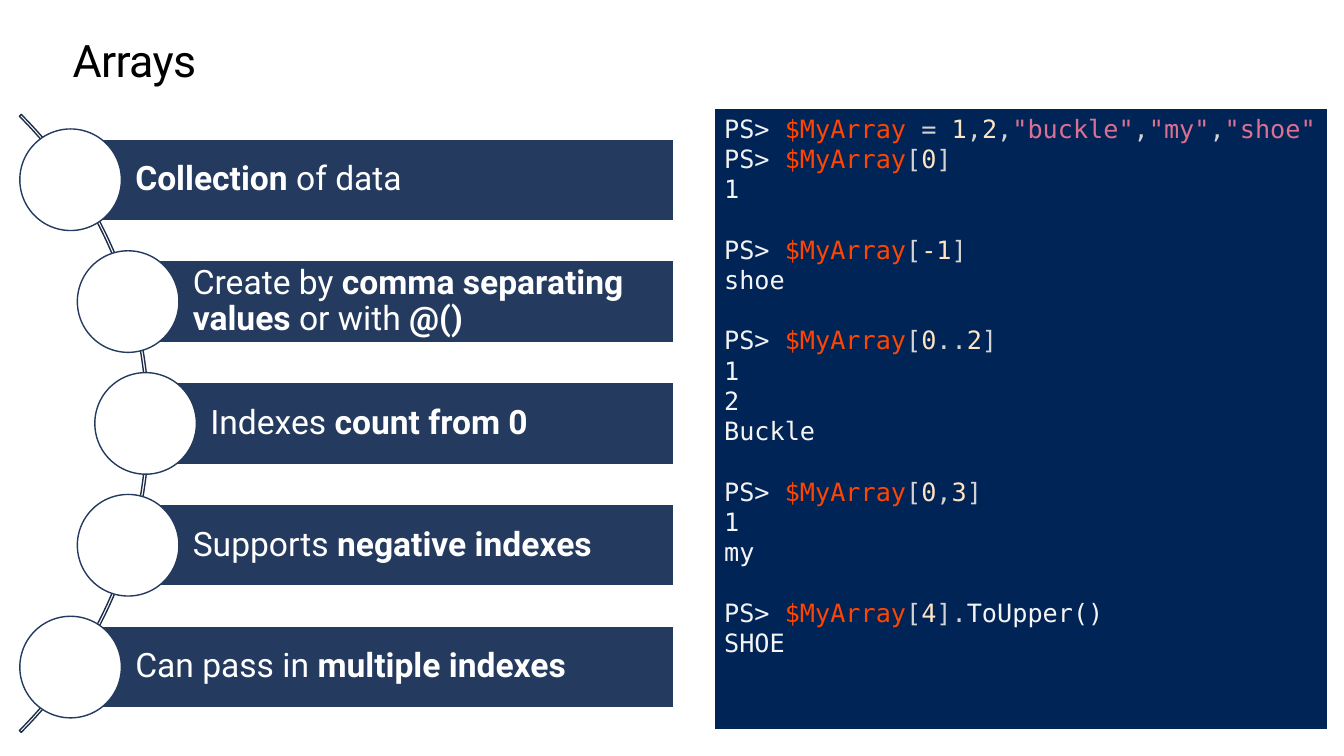
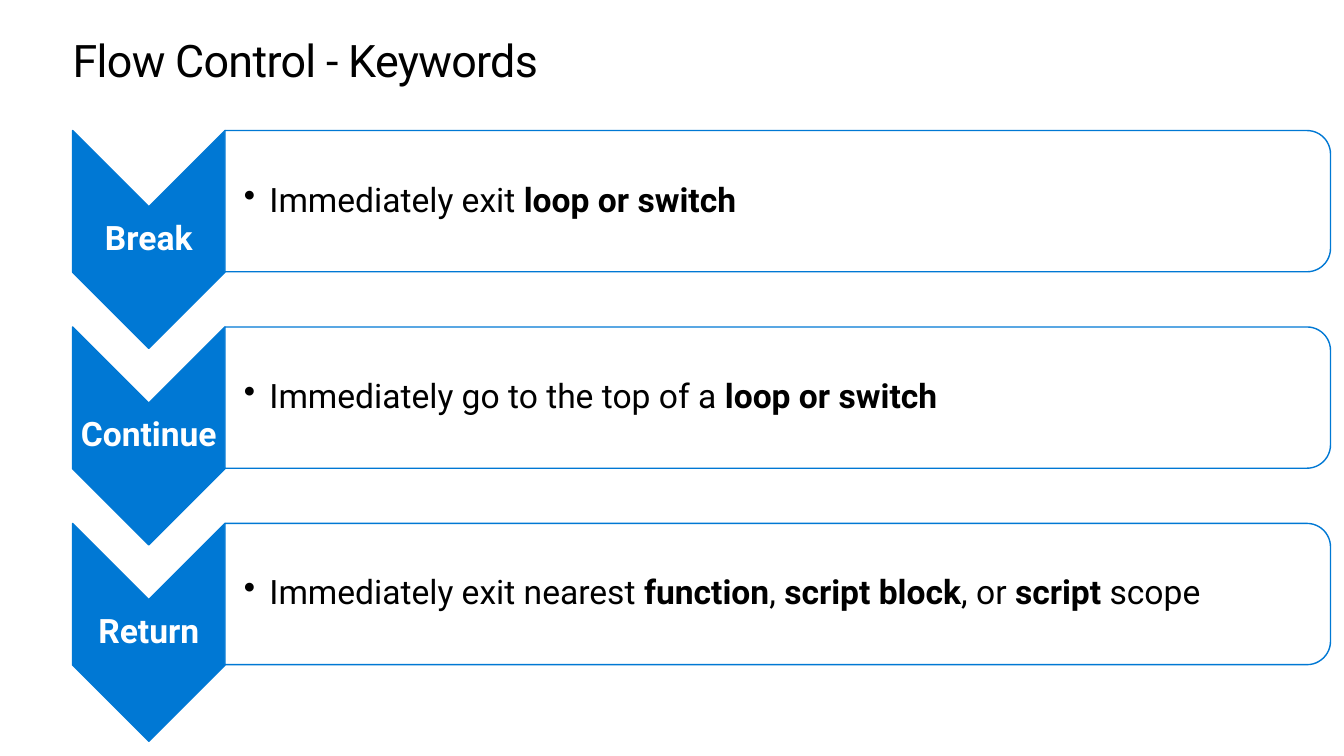
"""Builds two slides on arrays and flow control keywords."""
from dataclasses import dataclass
from math import sqrt

from lxml import etree
from pptx import Presentation
from pptx.dml.color import RGBColor
from pptx.enum.shapes import MSO_SHAPE
from pptx.enum.text import MSO_ANCHOR, MSO_AUTO_SIZE, PP_ALIGN
from pptx.oxml.ns import qn
from pptx.util import Cm, Pt

RECTANGLE, OVAL = MSO_SHAPE.RECTANGLE, MSO_SHAPE.OVAL
CHEVRON, ARC = MSO_SHAPE.CHEVRON, MSO_SHAPE.BLOCK_ARC
PANEL = MSO_SHAPE.ROUND_2_SAME_RECTANGLE
LEFT, CENTER = PP_ALIGN.LEFT, PP_ALIGN.CENTER
TOP, MIDDLE = MSO_ANCHOR.TOP, MSO_ANCHOR.MIDDLE
NO_AUTOFIT = MSO_AUTO_SIZE.NONE
TITLE_ONLY = 5


@dataclass(frozen=True)
class Theme:
    """Colours, fonts and type sizes of the deck."""
    black: str = "000000"
    white: str = "FFFFFF"
    navy: str = "243A5E"
    arc: str = "1D2E4B"
    blue: str = "0078D4"
    console: str = "012456"
    prompt: str = "F2F2F2"
    variable: str = "FF4500"
    symbol: str = "D3D3D3"
    number: str = "FFE4C4"
    string: str = "DB7093"
    output: str = "F5F5F5"
    font: str = "Roboto"
    code_font: str = "DejaVu Sans Mono"
    title_size: float = 32
    title_line: float = 36.2
    body_size: float = 24
    code_size: float = 18
    code_line: float = 21.6
    line_width: float = 1


THEME = Theme()

ARRAY_POINTS = [
    "*Collection* of data",
    "Create by *comma separating values* or with *@()*",
    "Indexes *count from 0*",
    "Supports *negative indexes*",
    "Can pass in *multiple indexes*",
]

CONSOLE_BLOCKS = [
    ['PS> |$MyArray |= |1|,|2|,|"buckle"|,|"my"|,|"shoe"', "PS> |$MyArray|[|0|]", "1"],
    ["PS> |$MyArray|[|-1|]", "shoe"],
    ["PS> |$MyArray|[|0|..|2|]", "1", "2", "Buckle"],
    ["PS> |$MyArray|[|0|,|3|]", "1", "my"],
    ["PS> |$MyArray|[|4|].|ToUpper()", "SHOE"],
]

KEYWORDS = [
    ("Break", "Immediately exit *loop or switch*"),
    ("Continue", "Immediately go to the top of a *loop or switch*"),
    ("Return", "Immediately exit nearest *function*, *script block*, or *script* scope"),
]


def add_span(para, text, *, colour, size=THEME.body_size, font=THEME.font, bold=False, spacing=None):
    """Append formatted text to a paragraph."""
    span = para.add_run()
    span.text = text
    span.font.name, span.font.size, span.font.bold = font, Pt(size), bold
    span.font.color.rgb = RGBColor.from_string(colour)
    if spacing is not None:
        span.font._element.set("spc", str(spacing))


def set_frame(shape, *, anchor=MIDDLE, insets=(0, 0, 0, 0)):
    """Set wrapping, anchor and insets in cm, and return the text frame."""
    frame = shape.text_frame
    frame.word_wrap = True
    frame.auto_size = NO_AUTOFIT
    frame.vertical_anchor = anchor
    (frame.margin_left, frame.margin_top,
     frame.margin_right, frame.margin_bottom) = map(Cm, insets)
    return frame


def write_marked(shape, text, *, colour, insets, align=LEFT, bullet=False):
    """Write one paragraph in which text between asterisks is bold."""
    para = set_frame(shape, insets=insets).paragraphs[0]
    para.alignment = align
    para.line_spacing = 0.9
    if bullet:
        properties = para._p.get_or_add_pPr()
        indent = Cm(0.64)
        properties.set("marL", str(indent))
        properties.set("indent", str(-indent))
        etree.SubElement(properties, qn("a:buChar"), char="•")
    for index, part in enumerate(text.split("*")):
        if part:
            add_span(para, part, colour=colour, bold=index % 2 == 1)


def add_figure(page, kind, left, top, width, height, *, fill=None, line=THEME.white):
    """Add a preset shape with lengths in cm."""
    shape = page.shapes.add_shape(kind, Cm(left), Cm(top), Cm(width), Cm(height))
    shape.shadow.inherit = False
    if fill:
        shape.fill.solid()
        shape.fill.fore_color.rgb = RGBColor.from_string(fill)
    else:
        shape.fill.background()
    shape.line.color.rgb = RGBColor.from_string(line)
    shape.line.width = Pt(THEME.line_width)
    return shape


def add_turned(page, kind, left, top, width, height, **style):
    """Add a shape turned by 90 degrees that covers the given area."""
    shift = (width - height) / 2
    shape = add_figure(page, kind, left + shift, top - shift, height, width, **style)
    shape.rotation = 90
    return shape


def add_label(page, text, left, top, width, height, **style):
    """Add a text box with marked text."""
    box = page.shapes.add_textbox(Cm(left), Cm(top), Cm(width), Cm(height))
    write_marked(box, text, **style)


def add_page(deck, title):
    """Add a title-only slide with its title in the shared style."""
    page = deck.slides.add_slide(deck.slide_layouts[TITLE_ONLY])
    box = page.shapes.title
    box.left, box.top, box.width, box.height = Cm(1.83), Cm(0.89), Cm(30.2), Cm(1.27)
    para = set_frame(box, anchor=TOP).paragraphs[0]
    para.alignment = LEFT
    para.line_spacing = Pt(THEME.title_line)
    add_span(para, title, colour=THEME.black, size=THEME.title_size, spacing=-50)
    return page


def token_colour(token):
    """Return the syntax colour of a token on a prompt line."""
    if token.startswith("PS>"):
        return THEME.prompt
    if token.startswith("$"):
        return THEME.variable
    if token.startswith('"'):
        return THEME.string
    if token.lstrip("-").isdigit():
        return THEME.number
    return THEME.output if token[0].isalpha() else THEME.symbol


def add_console(page, blocks):
    """Add the console panel with a gap between blocks of code."""
    panel = add_figure(page, RECTANGLE, 18, 2.72, 15.47, 15.67, fill=THEME.console)
    frame = set_frame(panel, anchor=TOP, insets=(0.25, 0.13, 0, 0.13))
    para = None
    for block in blocks:
        for index, line in enumerate(block):
            starts_later_block = para is not None and index == 0
            para = frame.add_paragraph() if para is not None else frame.paragraphs[0]
            para.alignment = LEFT
            para.line_spacing = Pt(THEME.code_line)
            para.space_before = Pt(THEME.code_line if starts_later_block else 0)
            tokens = line.split("|")
            for token in tokens:
                colour = token_colour(token) if len(tokens) > 1 else THEME.output
                add_span(para, token, colour=colour, size=THEME.code_size, font=THEME.code_font)


def add_curved_list(page, points):
    """Add bars whose circles sit on an arc."""
    center_x, center_y, arc_size, radius = -7.25, 10.67, 22.02, 10.92
    pitch, bar_height, bar_right, circle = 3.07, 2.06, 16.99, 2.56
    arc = add_figure(page, ARC, center_x - arc_size / 2, center_y - arc_size / 2,
                     arc_size, arc_size, line=THEME.arc)
    for index, value in enumerate((189, 27, 0.003)):
        arc.adjustments[index] = value
    for index, point in enumerate(points):
        offset = (index - (len(points) - 1) / 2) * pitch
        x, y = center_x + sqrt(radius ** 2 - offset ** 2), center_y + offset
        bar = add_figure(page, RECTANGLE, x, y - bar_height / 2, bar_right - x, bar_height,
                         fill=THEME.navy)
        write_marked(bar, point, colour=THEME.white, insets=(1.63, 0.18, 0.18, 0.18))
        add_figure(page, OVAL, x - circle / 2, y - circle / 2, circle, circle,
                   fill=THEME.white, line=THEME.navy)


def add_chevron_list(page, rows):
    """Add a column of chevrons, each with a panel to its right."""
    left, first_top, pitch = 1.83, 3.29, 4.95
    width, height = 3.84, 5.49
    panel_left, panel_width, panel_height = left + width, 27.86, 3.56
    for index, (keyword, meaning) in enumerate(rows):
        top = first_top + index * pitch
        add_turned(page, CHEVRON, left, top, width, height, fill=THEME.blue, line=THEME.blue)
        add_label(page, f"*{keyword}*", left, top + width / 2, width, height - width,
                  colour=THEME.white, align=CENTER, insets=(0.05,) * 4)
        add_turned(page, PANEL, panel_left, top, panel_width, panel_height,
                   fill=THEME.white, line=THEME.blue)
        add_label(page, meaning, panel_left, top, panel_width, panel_height,
                  colour=THEME.black, insets=(0.48, 0.05, 0.05, 0.05), bullet=True)


def main():
    """Build and save the deck."""
    deck = Presentation()
    deck.slide_width, deck.slide_height = Cm(33.87), Cm(19.05)
    arrays = add_page(deck, "Arrays")
    add_console(arrays, CONSOLE_BLOCKS)
    add_curved_list(arrays, ARRAY_POINTS)
    keywords = add_page(deck, "Flow Control - Keywords")
    add_chevron_list(keywords, KEYWORDS)
    deck.save("out.pptx")


if __name__ == "__main__":
    main()
